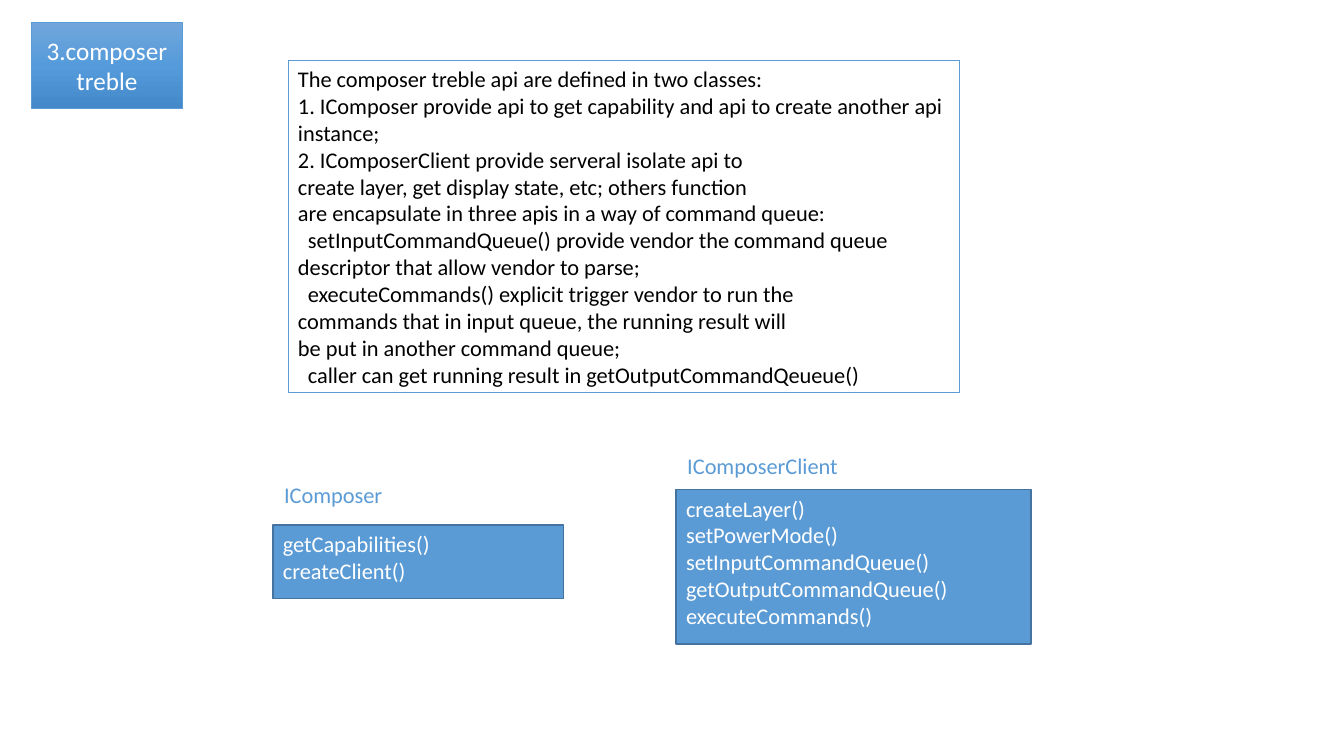
import copy
from dataclasses import dataclass

import pptx
import pptx.dml.color
import pptx.enum.shapes
import pptx.enum.text
import pptx.oxml.ns
import pptx.util

Cm = pptx.util.Cm
Pt = pptx.util.Pt
Align = pptx.enum.text.PP_ALIGN
Anchor = pptx.enum.text.MSO_ANCHOR
qn = pptx.oxml.ns.qn

BLUE = "5B9BD5"
EDGE = "43739E"
WHITE = "FFFFFF"
BLACK = "000000"
INDENT = Cm(0.25)


@dataclass
class Box:
    left: float
    top: float
    width: float
    height: float
    lines: list[str]
    ink: str
    fill: str | None = None
    edge: str | None = None
    weight: float = 1
    size: int = 16
    align: Align = Align.LEFT
    anchor: Anchor = Anchor.TOP
    indented: tuple[int, ...] = ()


TITLE = Box(0.79, 0.56, 3.81, 2.16, ["3.composer", "treble"], WHITE, edge=BLUE,
            weight=0.5, size=18, align=Align.CENTER, anchor=Anchor.MIDDLE)
SHADES = [(0, "71A6DB"), (0.5, "559BDB"), (1, "448ACA")]

BOXES = [
    Box(17.07, 11.28, 4.88, 0.94, ["IComposerClient"], BLUE),
    Box(17.04, 12.34, 8.94, 3.89, [
        "createLayer()",
        "setPowerMode()",
        "setInputCommandQueue()",
        "getOutputCommandQueue()",
        "executeCommands()",
    ], WHITE, BLUE, EDGE),
    Box(6.91, 11.99, 3.81, 0.94, ["IComposer"], BLUE),
    Box(6.88, 13.23, 7.32, 1.85, ["getCapabilities()", "createClient()"],
        WHITE, BLUE, EDGE),
    Box(7.26, 1.52, 16.92, 8.38, [
        "The composer treble api are defined in two classes:",
        "1. IComposer provide api to get capability and api to create another api instance;",
        "2. IComposerClient provide serveral isolate api to",
        "create layer, get display state, etc; others function",
        "are encapsulate in three apis in a way of command queue:",
        "setInputCommandQueue() provide vendor the command queue descriptor that allow vendor to parse;",
        "executeCommands() explicit trigger vendor to run the",
        "commands that in input queue, the running result will",
        "be put in another command queue;",
        "caller can get running result in getOutputCommandQeueue()",
    ], BLACK, edge=BLUE, weight=0.75, indented=(5, 6, 9)),
]


def color(code: str) -> pptx.dml.color.RGBColor:
    return pptx.dml.color.RGBColor.from_string(code)


def write(frame, box: Box) -> None:
    frame.word_wrap = True
    frame.vertical_anchor = box.anchor
    for i, line in enumerate(box.lines):
        para = frame.paragraphs[0] if i == 0 else frame.add_paragraph()
        para.text = line
        para.alignment = box.align
        if i in box.indented:
            para._p.get_or_add_pPr().set("indent", str(INDENT))
        para.font.name = "Calibri"
        para.font.size = Pt(box.size)
        para.font.color.rgb = color(box.ink)


def draw(slide, box: Box):
    """Add a rectangle, or a plain text box when there is no edge."""
    place = [Cm(n) for n in (box.left, box.top, box.width, box.height)]
    if box.edge is None:
        shape = slide.shapes.add_textbox(*place)
    else:
        kind = pptx.enum.shapes.MSO_SHAPE.RECTANGLE
        shape = slide.shapes.add_shape(kind, *place)
        shape.shadow.inherit = False
        shape.line.color.rgb = color(box.edge)
        shape.line.width = Pt(box.weight)
        if box.fill is None:
            shape.fill.background()
        else:
            shape.fill.solid()
            shape.fill.fore_color.rgb = color(box.fill)
    write(shape.text_frame, box)
    return shape


def shade(shape, stops: list[tuple[float, str]]) -> None:
    """Fill the shape with a gradient that runs from top to bottom."""
    shape.fill.gradient()
    shape.fill.gradient_angle = 270
    group = next(shape.element.iter(qn("a:gsLst")))
    while len(group) < len(stops):
        group.append(copy.deepcopy(group[-1]))
    for stop, (pos, code) in zip(shape.fill.gradient_stops, stops):
        stop.position = pos
        stop.color.rgb = color(code)


def main() -> None:
    deck = pptx.Presentation()
    deck.slide_width = Cm(33.87)
    deck.slide_height = Cm(19.05)
    slide = deck.slides.add_slide(deck.slide_layouts[6])
    shade(draw(slide, TITLE), SHADES)
    for box in BOXES:
        draw(slide, box)
    deck.save("out.pptx")


if __name__ == "__main__":
    main()
